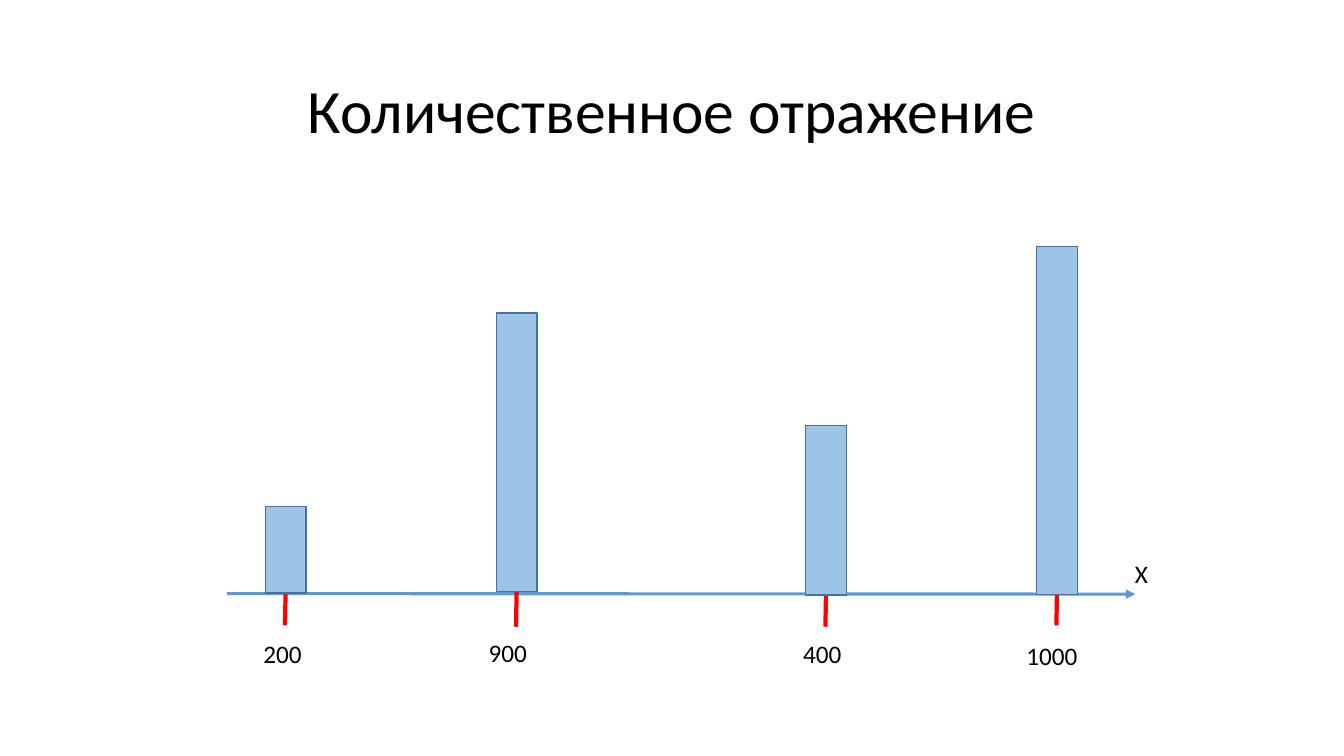
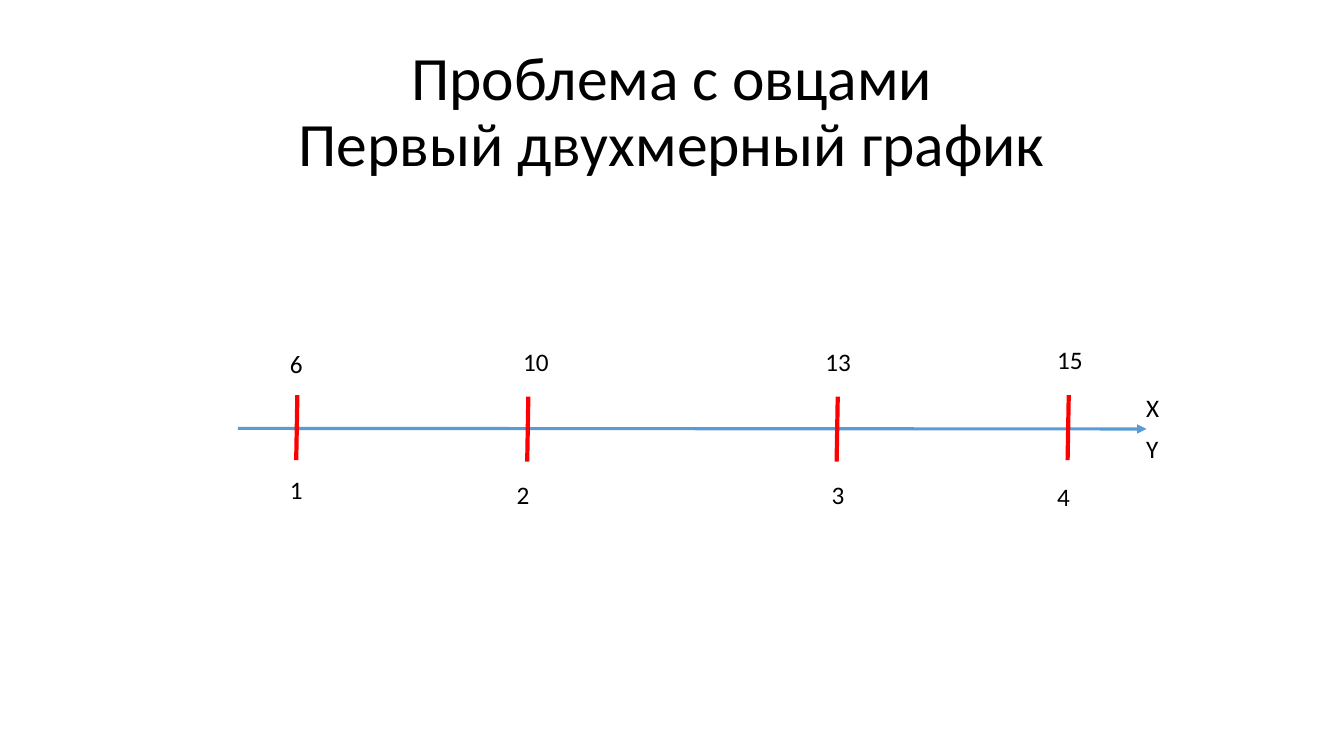
from pptx import Presentation
from pptx import util as u
from pptx.dml.color import RGBColor
from pptx.enum import shapes, text
from pptx.oxml.ns import qn
from lxml import etree

FONT = "Calibri"
BLACK, AXIS, TICK = "000000", "5B9BD5", "FF0000"
BAR_FILL, BAR_LINE = "9DC3E6", "43739E"
TITLE_BOX = (66, 29, 828, 104)
AXIS_WIDTH = 649
TICK_OFFSETS = (42, 207, 428, 593)
TICK_DROPS = (0, 1, 1, 0)
TICK_HALF = 23.2
TICK_LEAN = 0.4
LABEL_SIZE = (57, 29)
NAME_OFFSET = 641.5
BAR_WIDTH = 29

TITLE_FRAME = {"word_wrap": True, "auto_size": text.MSO_AUTO_SIZE.NONE,
               "vertical_anchor": text.MSO_ANCHOR.MIDDLE}
LABEL_FRAME = {"word_wrap": True, "auto_size": text.MSO_AUTO_SIZE.SHAPE_TO_FIT_TEXT,
               "vertical_anchor": text.MSO_ANCHOR.TOP}
TITLE_PARAGRAPH = {"alignment": text.PP_ALIGN.CENTER, "line_spacing": 0.9}
LABEL_PARAGRAPH = {"alignment": text.PP_ALIGN.LEFT}


def color(value):
    """Turn a hex string into a colour."""
    return RGBColor.from_string(value)


def points(*lengths):
    """Turn numbers into lengths in points."""
    return [u.Pt(length) for length in lengths]


def apply(target, values):
    """Set every attribute in a dict of format values."""
    for name, value in values.items():
        setattr(target, name, value)


def write(frame, words, size, frame_format, paragraph_format):
    """Write one formatted paragraph into a text frame."""
    apply(frame, frame_format)
    paragraph = frame.paragraphs[0]
    paragraph.text = words
    apply(paragraph, paragraph_format)
    for run in paragraph.runs:
        apply(run.font, {"name": FONT, "size": u.Pt(size), "bold": False})
        run.font.color.rgb = color(BLACK)


def add_title(slide, words, box):
    """Place and format the title placeholder."""
    title = slide.shapes.title
    apply(title, dict(zip(("left", "top", "width", "height"), points(*box))))
    write(title.text_frame, words, 44, TITLE_FRAME, TITLE_PARAGRAPH)


def add_label(slide, words, left, top):
    """Add a small text box."""
    label = slide.shapes.add_textbox(*points(left, top, *LABEL_SIZE))
    write(label.text_frame, words, 18, LABEL_FRAME, LABEL_PARAGRAPH)


def add_line(slide, ends, line_color, width, arrow=False):
    """Add a straight line, with an arrowhead at its end if asked."""
    connector = slide.shapes.add_connector(shapes.MSO_CONNECTOR.STRAIGHT, *points(*ends))
    connector.line.color.rgb = color(line_color)
    connector.line.width = u.Pt(width)
    if arrow:
        etree.SubElement(connector.line._get_or_add_ln(), qn("a:tailEnd"), type="triangle")
    etree.SubElement(connector._element.spPr, qn("a:effectLst"))


def add_axis(slide, left, middle, names):
    """Draw the arrow, its ticks and the axis names, each a word and a shift."""
    add_line(slide, (left, middle, left + AXIS_WIDTH, middle + 0.4), AXIS, 2.25, arrow=True)
    for offset, drop in zip(TICK_OFFSETS, TICK_DROPS):
        center, level = left + offset, middle - 0.5 + drop
        add_line(slide, (center + TICK_LEAN, level - TICK_HALF,
                         center - TICK_LEAN, level + TICK_HALF), TICK, 3)
    for name, shift in names:
        add_label(slide, name, left + NAME_OFFSET, middle + shift)


def add_tick_labels(slide, left, middle, labels):
    """Write a row of labels, each a word and its shift from its tick."""
    for offset, (words, across, down) in zip(TICK_OFFSETS, labels):
        add_label(slide, words, left + offset + across, middle + down)


def add_bars(slide, left, middle, bars):
    """Stand a bar on each tick, given its height and the shift of its foot."""
    for offset, (height, shift) in zip(TICK_OFFSETS, bars):
        bar = slide.shapes.add_shape(
            shapes.MSO_SHAPE.RECTANGLE,
            *points(left + offset - BAR_WIDTH / 2, middle + shift - height, BAR_WIDTH, height))
        bar.shadow.inherit = False
        bar.fill.solid()
        bar.fill.fore_color.rgb = color(BAR_FILL)
        bar.line.color.rgb = color(BAR_LINE)
        bar.line.width = u.Pt(1)


def add_titled_slide(presentation, title):
    """Add a slide with the shared title style."""
    slide = presentation.slides.add_slide(presentation.slide_layouts[5])
    add_title(slide, title, TITLE_BOX)
    return slide


def build_quantity_slide(presentation, left, middle):
    """Build the slide with quantities as bars on one axis."""
    slide = add_titled_slide(presentation, "Количественное отражение")
    add_axis(slide, left, middle, [("X", -29)])
    add_tick_labels(slide, left, middle, [
        ("200", -23, 28.5), ("900", -27, 28), ("400", -23.5, 28.5), ("1000", -29, 29.5)])
    add_bars(slide, left, middle, [(61.5, -0.5), (199, -1.5), (121, 1), (248.5, 0.5)])


def build_sheep_slide(presentation, left, middle):
    """Build the slide with two rows of numbers along one axis."""
    slide = add_titled_slide(presentation, "Проблема с овцами\vПервый двухмерный график")
    add_axis(slide, left, middle, [("X", -29), ("Y", 0)])
    add_tick_labels(slide, left, middle, [
        ("6", -12, -60.5), ("10", -10.5, -62.5), ("13", -15.5, -62), ("15", -15, -63.5)])
    add_tick_labels(slide, left, middle, [
        ("1", -12, 29.5), ("2", -15, 32.5), ("3", -11, 33), ("4", -15, 34)])


def main():
    """Build and save the presentation."""
    presentation = Presentation()
    apply(presentation, {"slide_width": u.Pt(960), "slide_height": u.Pt(540)})
    build_quantity_slide(presentation, 162, 424)
    build_sheep_slide(presentation, 170, 306)
    presentation.save("out.pptx")


main()
